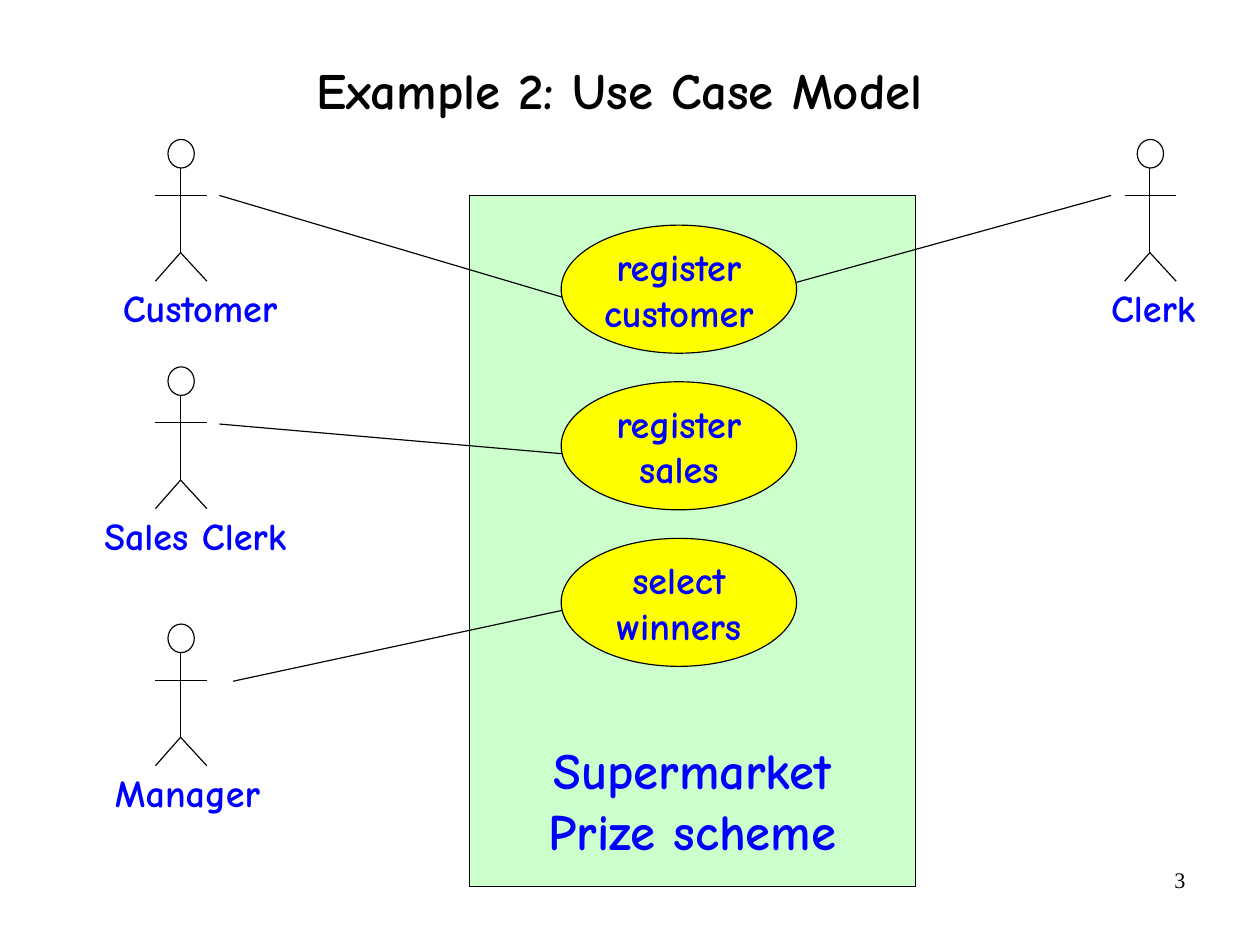
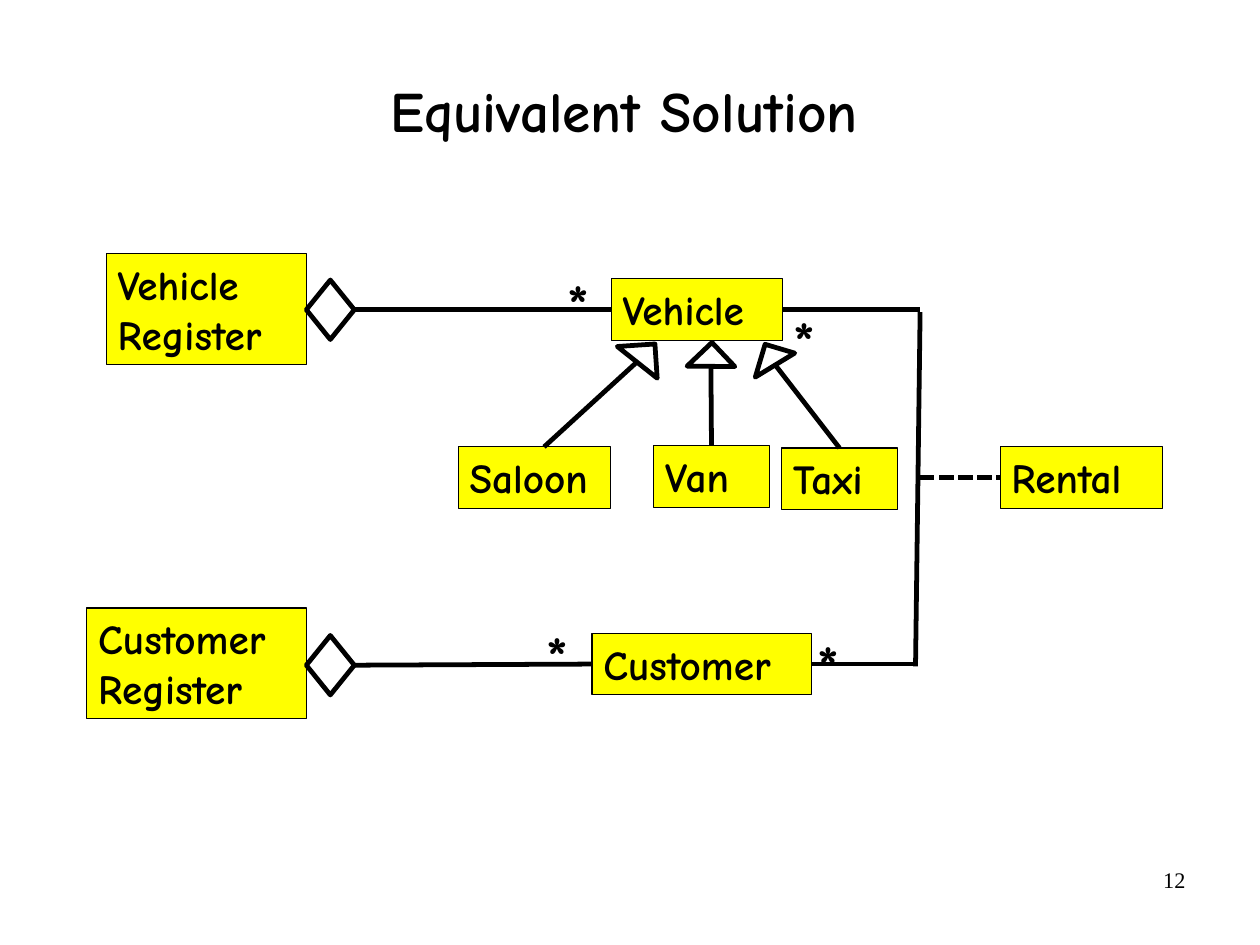
from dataclasses import dataclass
from typing import Optional, Union

import pptx
import pptx.dml.color
import pptx.enum.dml
import pptx.enum.shapes
import pptx.enum.text
import pptx.oxml.ns
import pptx.presentation
import pptx.util
from lxml import etree
from pptx.shapes.autoshape import Shape
from pptx.shapes.shapetree import GroupShapes, SlideShapes
from pptx.slide import Slide
from pptx.text.text import TextFrame

Inches = pptx.util.Inches
Pt = pptx.util.Pt
MSO_SHAPE = pptx.enum.shapes.MSO_SHAPE
PP_ALIGN = pptx.enum.text.PP_ALIGN
MSO_ANCHOR = pptx.enum.text.MSO_ANCHOR

COLORS = {
    "ink": "000000",
    "label": "0000FF",
    "system": "CCFFCC",
    "node": "FFFF00",
}
FONT = "Comic Neue"
NUMBER_FONT = "Times New Roman"
CM_PER_INCH = 2.54
PAGE_CM = (28, 21)
THIN, THICK = 0.75, 3.0
TOP, LEFT, BOTTOM, RIGHT = range(4)

Point = tuple[float, float]
Box = tuple[float, float, float, float]
Shapes = Union[SlideShapes, GroupShapes]


@dataclass(frozen=True)
class Joint:
    shape: Shape
    site: int


@dataclass(frozen=True)
class TextStyle:
    size: float
    color: str = "ink"
    font: str = FONT
    bold: bool = True
    align: PP_ALIGN = PP_ALIGN.LEFT
    anchor: MSO_ANCHOR = MSO_ANCHOR.TOP
    inset: Point = (0.1, 0.05)
    wrap: bool = True
    spacing: float = 1.0


@dataclass(frozen=True)
class Actor:
    name: str
    x: float
    top: float
    label_x: float


@dataclass(frozen=True)
class UmlClass:
    name: str
    box: Box


CENTERED = PP_ALIGN.CENTER
NUMBER = TextStyle(14, font=NUMBER_FONT, bold=False, align=PP_ALIGN.RIGHT)
ACTOR_LABEL = TextStyle(24, "label", align=CENTERED, inset=(0.11, 0.06), wrap=False)
USE_CASE = TextStyle(24, "label", align=CENTERED, anchor=MSO_ANCHOR.MIDDLE,
                     inset=(0.11, 0.06), wrap=False)
SYSTEM = TextStyle(32, "label", align=CENTERED, anchor=MSO_ANCHOR.BOTTOM, inset=(0.11, 0.23))
CLASS_NAME = TextStyle(26)
MULTIPLICITY = TextStyle(36)

ACTORS = (
    Actor("Customer", 1.58, 1.22, 1.75),
    Actor("Sales Clerk", 1.58, 3.21, 1.71),
    Actor("Manager", 1.58, 5.46, 1.64),
    Actor("Clerk", 10.06, 1.22, 10.09),
)
USE_CASES = ("register\ncustomer", "register\nsales", "select\nwinners")
USE_CASE_TOP, USE_CASE_PITCH = 1.97, 1.37
ASSOCIATIONS = (
    ((4.92, 2.6), (1.92, 1.71)),
    ((4.92, 3.97), (1.92, 3.71)),
    ((4.92, 5.34), (2.04, 5.96)),
    ((6.97, 2.47), (9.72, 1.71)),
)

CLASSES = (
    UmlClass("Vehicle\nRegister", (0.93, 2.22, 1.75, 0.97)),
    UmlClass("Vehicle", (5.35, 2.44, 1.5, 0.54)),
    UmlClass("Customer\nRegister", (0.76, 5.32, 1.92, 0.97)),
    UmlClass("Customer", (5.18, 5.54, 1.92, 0.54)),
    UmlClass("Saloon", (4.01, 3.91, 1.33, 0.54)),
    UmlClass("Van", (5.72, 3.9, 1.01, 0.54)),
    UmlClass("Taxi", (6.84, 3.92, 1.01, 0.54)),
    UmlClass("Rental", (8.75, 3.91, 1.42, 0.54)),
)
INHERITANCE_HEADS = (
    ((5.41, 3.02, 0.33, 0.3), 176.2),
    ((6.07, 3.06, 0.3, 0.29), 136.5),
    ((6.63, 3.06, 0.3, 0.27), 106.6),
)
STARS = ((4.87, 2.3), (4.68, 5.38), (7.05, 5.46), (6.84, 2.62))


def rgb(name: str) -> pptx.dml.color.RGBColor:
    return pptx.dml.color.RGBColor.from_string(COLORS[name])


def write(frame: TextFrame, text: str, style: TextStyle) -> None:
    frame.text = text
    frame.auto_size = pptx.enum.text.MSO_AUTO_SIZE.NONE
    frame.word_wrap = style.wrap
    frame.vertical_anchor = style.anchor
    frame.margin_left = frame.margin_right = Inches(style.inset[0])
    frame.margin_top = frame.margin_bottom = Inches(style.inset[1])
    for paragraph in frame.paragraphs:
        paragraph.alignment = style.align
        paragraph.line_spacing = style.spacing
        for run in paragraph.runs:
            run.font.name = style.font
            run.font.size = Pt(style.size)
            run.font.bold = style.bold
            run.font.color.rgb = rgb(style.color)


def add_label(shapes: Shapes, text: str, box: Box, style: TextStyle) -> None:
    write(shapes.add_textbox(*map(Inches, box)).text_frame, text, style)


def add_outline(shapes: Shapes, kind: MSO_SHAPE, box: Box, weight: float = THIN,
                fill: Optional[str] = None) -> Shape:
    shape = shapes.add_shape(kind, *map(Inches, box))
    shape.shadow.inherit = False
    if fill:
        shape.fill.solid()
        shape.fill.fore_color.rgb = rgb(fill)
    else:
        shape.fill.background()
    shape.line.color.rgb = rgb("ink")
    shape.line.width = Pt(weight)
    return shape


def add_line(shapes: Shapes, begin: Union[Point, Joint], end: Union[Point, Joint],
             weight: float = THIN, dashed: bool = False) -> None:
    """Draw a straight line whose ends are free points or joints on shapes."""
    points = [(0, 0) if isinstance(tip, Joint) else tip for tip in (begin, end)]
    line = shapes.add_connector(pptx.enum.shapes.MSO_CONNECTOR.STRAIGHT,
                                *(Inches(value) for point in points for value in point))
    if isinstance(begin, Joint):
        line.begin_connect(begin.shape, begin.site)
    if isinstance(end, Joint):
        line.end_connect(end.shape, end.site)
    line.line.color.rgb = rgb("ink")
    line.line.width = Pt(weight)
    if dashed:
        line.line.dash_style = pptx.enum.dml.MSO_LINE.SQUARE_DOT
    etree.SubElement(line._element.spPr, pptx.oxml.ns.qn("a:effectLst"))


def add_slide(deck: pptx.presentation.Presentation, title: str, box: Box,
              style: TextStyle, number: int) -> Slide:
    slide = deck.slides.add_slide(deck.slide_layouts[5])
    heading = slide.shapes.title
    heading.left, heading.top, heading.width, heading.height = map(Inches, box)
    write(heading.text_frame, title, style)
    add_label(slide.shapes, str(number), (7.9, 7.53, 2.57, 0.57), NUMBER)
    return slide


def add_actor(slide: Slide, actor: Actor) -> None:
    """Draw a stick figure with its name below."""
    figure = slide.shapes.add_group_shape().shapes
    x, top = actor.x, actor.top
    neck, arms, hip, feet = (top + drop for drop in (0.25, 0.49, 0.99, 1.24))
    add_outline(figure, MSO_SHAPE.OVAL, (x - 0.11, top, 0.23, 0.25))
    add_line(figure, (x, neck), (x, hip))
    add_line(figure, (x - 0.22, arms), (x + 0.23, arms))
    for foot_x in (x - 0.22, x + 0.23):
        add_line(figure, (x, hip), (foot_x, feet))
    add_label(figure, actor.name, (actor.label_x - 0.9, top + 1.21, 1.8, 0.51), ACTOR_LABEL)


def build_use_case_slide(deck: pptx.presentation.Presentation) -> None:
    title_style = TextStyle(32, align=CENTERED, anchor=MSO_ANCHOR.MIDDLE,
                            inset=(0.02, 0.06), spacing=0.94)
    slide = add_slide(deck, "Example 2: Use Case Model", (0.74, 0.24, 9.37, 1.13),
                      title_style, 3)
    system = add_outline(slide.shapes, MSO_SHAPE.RECTANGLE, (4.11, 1.71, 3.9, 6.05),
                         fill="system")
    write(system.text_frame, "Supermarket\nPrize scheme", SYSTEM)
    for row, name in enumerate(USE_CASES):
        box = (4.91, USE_CASE_TOP + row * USE_CASE_PITCH, 2.06, 1.12)
        use_case = add_outline(slide.shapes, MSO_SHAPE.OVAL, box, fill="node")
        write(use_case.text_frame, name, USE_CASE)
    for actor in ACTORS:
        add_actor(slide, actor)
    for begin, end in ASSOCIATIONS:
        add_line(slide.shapes, begin, end)


def build_class_slide(deck: pptx.presentation.Presentation) -> None:
    title_style = TextStyle(36, align=CENTERED, anchor=MSO_ANCHOR.MIDDLE,
                            inset=(0, 0), spacing=0.88)
    slide = add_slide(deck, "Equivalent Solution", (0.76, 0.32, 9.4, 1.37), title_style, 12)
    shapes = slide.shapes
    nodes: dict[str, Shape] = {}
    for uml_class in CLASSES:
        node = add_outline(shapes, MSO_SHAPE.RECTANGLE, uml_class.box, fill="node")
        write(node.text_frame, uml_class.name, CLASS_NAME)
        nodes[uml_class.name] = node

    for part, top in (("Vehicle", 2.45), ("Customer", 5.56)):
        aggregation = add_outline(shapes, MSO_SHAPE.DIAMOND, (2.68, top, 0.42, 0.52), THICK)
        add_line(shapes, Joint(aggregation, RIGHT), Joint(nodes[part], LEFT), THICK)

    for box, angle in INHERITANCE_HEADS:
        add_outline(shapes, MSO_SHAPE.RIGHT_TRIANGLE, box, THICK).rotation = angle
    add_line(shapes, (5.57, 3.17), (4.76, 3.91), THICK)
    add_line(shapes, (6.22, 3.21), Joint(nodes["Van"], TOP), THICK)
    add_line(shapes, (6.78, 3.19), Joint(nodes["Taxi"], TOP), THICK)

    add_line(shapes, Joint(nodes["Vehicle"], RIGHT), (8.05, 2.71), THICK)
    add_line(shapes, Joint(nodes["Customer"], RIGHT), (8.01, 5.81), THICK)
    add_line(shapes, (8.05, 2.73), (8.01, 5.83), THICK)
    add_line(shapes, (8.05, 4.18), Joint(nodes["Rental"], LEFT), THICK, dashed=True)
    for left, top in STARS:
        add_label(shapes, "*", (left, top, 0.42, 0.7), MULTIPLICITY)


def main() -> None:
    deck = pptx.Presentation()
    deck.slide_width, deck.slide_height = (Inches(side / CM_PER_INCH) for side in PAGE_CM)
    build_use_case_slide(deck)
    build_class_slide(deck)
    deck.save("out.pptx")


if __name__ == "__main__":
    main()
